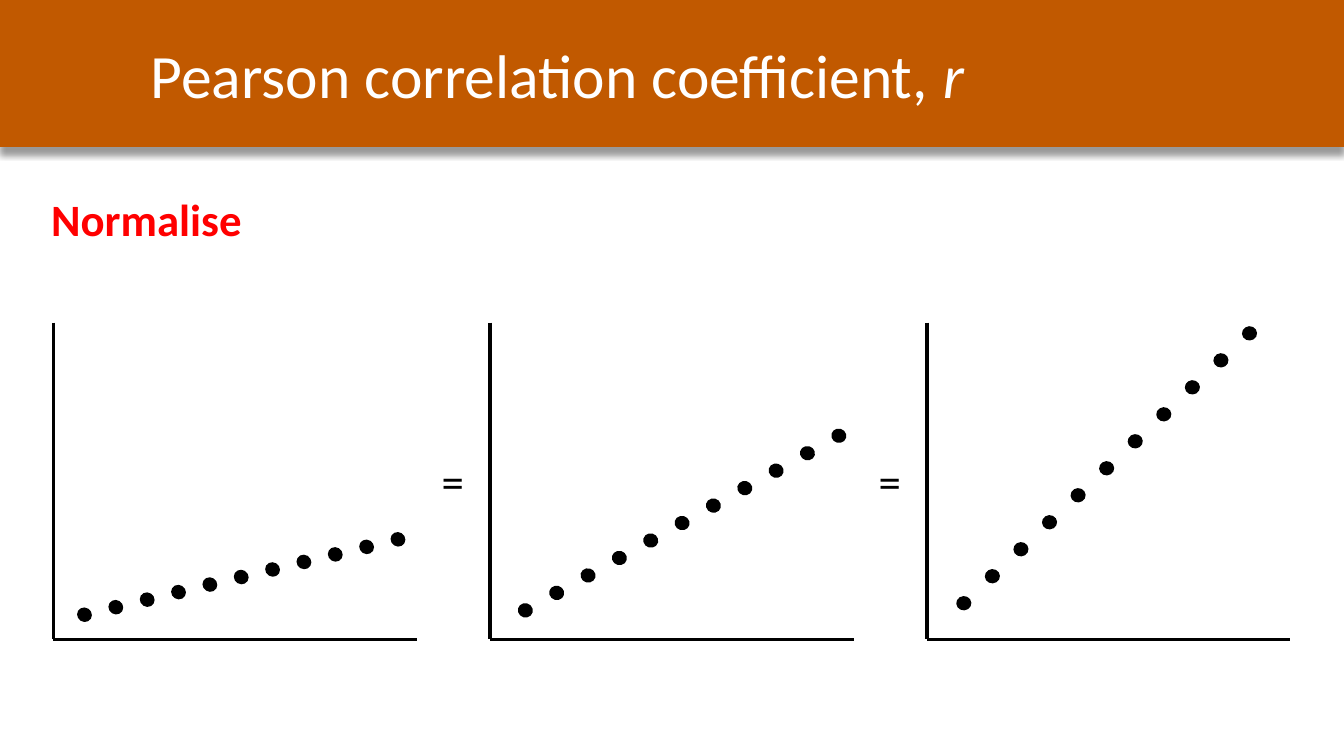
import pptx
import pptx.dml.color
import pptx.enum.shapes
import pptx.enum.text
import pptx.oxml
import pptx.util
from pptx.util import Cm

BLACK = pptx.dml.color.RGBColor(0x00, 0x00, 0x00)
WHITE = pptx.dml.color.RGBColor(0xFF, 0xFF, 0xFF)
RED = pptx.dml.color.RGBColor(0xFF, 0x00, 0x00)
ORANGE = pptx.dml.color.RGBColor(0xC1, 0x59, 0x00)

FONT = "Calibri"
DOT_COUNT = 11
DOT_WIDTH, DOT_HEIGHT = Cm(0.36), Cm(0.38)
PLOT_LEFT, PLOT_TOP = Cm(1.34), Cm(8.13)
PLOT_WIDTH, PLOT_HEIGHT = Cm(9.16), Cm(7.98)
PLOT_STEP = Cm(11.01)
EQUALS_WIDTH, EQUALS_HEIGHT = Cm(1.09), Cm(1.63)

SERIES = [
    {"start": (0.61, 7.17), "step": (0.79, -0.19), "rotation": 301.5},
    {"start": (0.71, 7.06), "step": (0.79, -0.44), "rotation": 285},
    {"start": (0.75, 6.88), "step": (0.72, -0.68), "rotation": 266.6},
]

EFFECTS = (
    '<a:effectLst xmlns:a="http://schemas.openxmlformats.org/drawingml/2006/main">'
    "{}</a:effectLst>"
)
SHADOW = (
    '<a:outerShdw blurRad="50800" dist="76200" dir="5400000" algn="t" rotWithShape="0">'
    '<a:srgbClr val="000000"><a:alpha val="40000"/></a:srgbClr>'
    "</a:outerShdw>"
)


def set_effects(shape, effect=""):
    shape._element.spPr.append(pptx.oxml.parse_xml(EFFECTS.format(effect)))


def style_span(span, size, color, bold=False, italic=False):
    span.font.name = FONT
    span.font.size = pptx.util.Pt(size)
    span.font.color.rgb = color
    span.font.bold = bold
    span.font.italic = italic


def add_label(page, text, left, top, width, height, color, bold=False):
    box = page.shapes.add_textbox(left, top, width, height)
    box.text_frame.word_wrap = False
    box.text_frame.auto_size = pptx.enum.text.MSO_AUTO_SIZE.SHAPE_TO_FIT_TEXT
    box.text_frame.text = text
    style_span(box.text_frame.paragraphs[0].runs[0], 32, color, bold)


def add_header(page, left, top, width, height):
    band = page.shapes.add_shape(
        pptx.enum.shapes.MSO_SHAPE.RECTANGLE, left, top, width, height
    )
    band.fill.solid()
    band.fill.fore_color.rgb = ORANGE
    band.line.fill.background()
    set_effects(band, SHADOW)

    indent = Cm(3.55)
    box = page.shapes.add_textbox(
        left + indent, top + Cm(0.3), width - indent, height - Cm(0.6)
    )
    box.text_frame.word_wrap = True
    box.text_frame.vertical_anchor = pptx.enum.text.MSO_ANCHOR.MIDDLE
    para = box.text_frame.paragraphs[0]
    for text, italic in (("Pearson correlation coefficient, ", False), ("r", True)):
        span = para.add_run()
        span.text = text
        style_span(span, 44, WHITE, italic=italic)


def add_axis(group, start, end):
    axis = group.shapes.add_connector(
        pptx.enum.shapes.MSO_CONNECTOR.STRAIGHT, *start, *end
    )
    axis.line.color.rgb = BLACK
    axis.line.width = pptx.util.Pt(2.25)
    set_effects(axis)


def add_scatter(page, left, top, width, height, start, step, rotation):
    group = page.shapes.add_group_shape()
    origin = (left, top + height)
    add_axis(group, (left, top), origin)
    add_axis(group, origin, (left + width, top + height))
    for index in range(DOT_COUNT):
        dot = group.shapes.add_shape(
            pptx.enum.shapes.MSO_SHAPE.OVAL,
            left + Cm(start[0] + index * step[0]),
            top + Cm(start[1] + index * step[1]),
            DOT_WIDTH,
            DOT_HEIGHT,
        )
        dot.rotation = rotation
        dot.shadow.inherit = False
        dot.fill.solid()
        dot.fill.fore_color.rgb = BLACK
        dot.line.fill.background()


def add_comparison(page, left, top, width, height):
    gap = PLOT_STEP - width
    for index, series in enumerate(SERIES):
        plot_left = left + index * PLOT_STEP
        add_scatter(page, plot_left, top, width, height, **series)
        if index > 0:
            add_label(
                page,
                "=",
                plot_left - (gap + EQUALS_WIDTH) // 2,
                top + (height - EQUALS_HEIGHT) // 2,
                EQUALS_WIDTH,
                EQUALS_HEIGHT,
                BLACK,
            )


def main():
    deck = pptx.Presentation()
    deck.slide_width = Cm(33.87)
    deck.slide_height = Cm(19.05)
    page = deck.slides.add_slide(deck.slide_layouts[6])
    add_header(page, 0, 0, deck.slide_width, Cm(3.7))
    add_label(page, "Normalise", Cm(1.04), Cm(4.7), Cm(5.36), Cm(1.63), RED, bold=True)
    add_comparison(page, PLOT_LEFT, PLOT_TOP, PLOT_WIDTH, PLOT_HEIGHT)
    deck.save("out.pptx")


if __name__ == "__main__":
    main()
